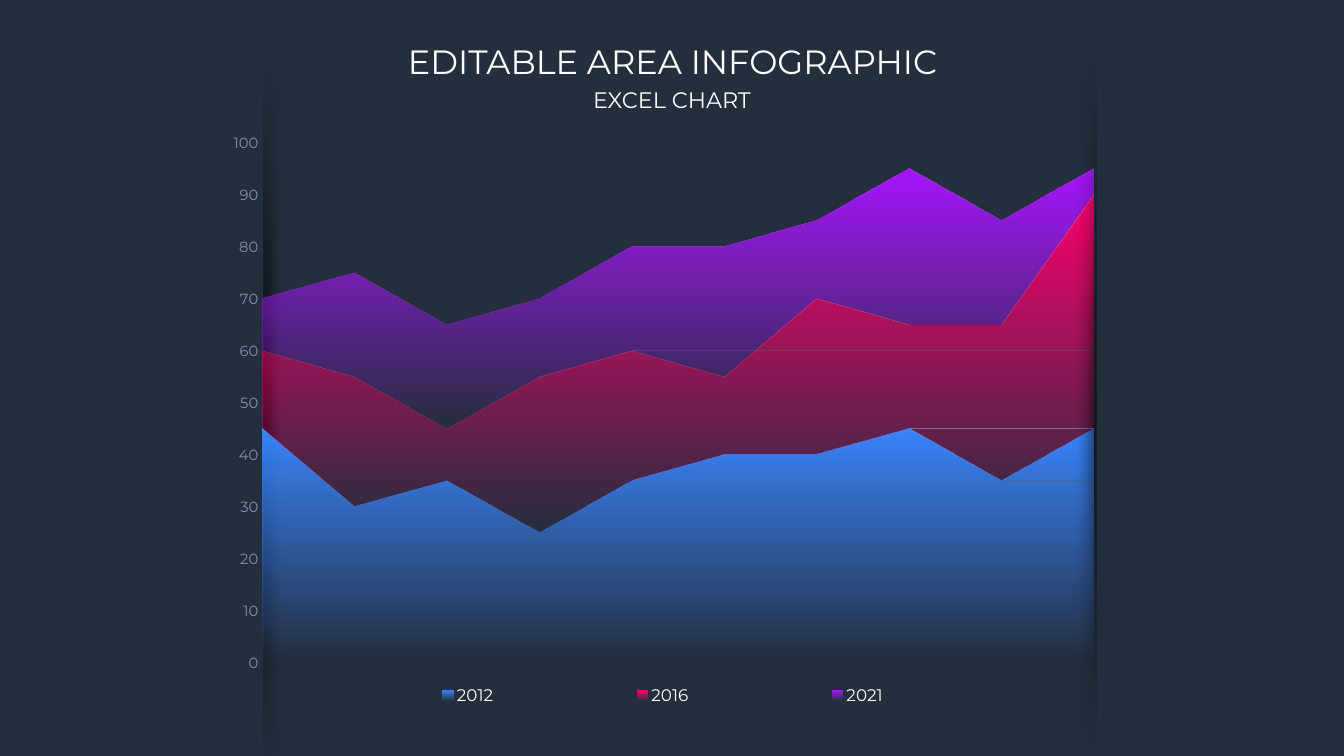
from lxml import etree
from pptx import Presentation
from pptx.chart.data import CategoryChartData
from pptx.dml.color import RGBColor
from pptx.enum.chart import XL_CHART_TYPE, XL_LEGEND_POSITION, XL_TICK_MARK
from pptx.enum.shapes import MSO_SHAPE
from pptx.enum.text import MSO_ANCHOR, MSO_AUTO_SIZE, PP_ALIGN
from pptx.oxml import parse_xml
from pptx.oxml.ns import nsdecls, qn
from pptx.util import Inches, Pt

FONT = "Montserrat"
NAVY = RGBColor(0x24, 0x2E, 0x3D)
WHITE = RGBColor(0xFF, 0xFF, 0xFF)
BLACK = RGBColor(0x00, 0x00, 0x00)
SLATE = RGBColor(0x7D, 0x92, 0xB2)
BLUE = RGBColor(0x3A, 0x86, 0xFF)
PINK = RGBColor(0xFF, 0x00, 0x6E)
PURPLE = RGBColor(0xA9, 0x16, 0xFF)

SERIES = [
    ("2012", BLUE, (45, 30, 35, 25, 35, 40, 40, 45, 35, 45)),
    ("2016", PINK, (15, 25, 10, 30, 25, 15, 30, 20, 30, 45)),
    ("2021", PURPLE, (10, 20, 20, 15, 20, 25, 15, 30, 20, 5)),
]


def apply_gradient(element, fill, color, stops):
    """Fill an element with a vertical gradient from (position, opacity) percentages."""
    fill.solid()
    properties = element.find(qn("c:spPr"))
    if properties is None:
        properties = element.find(qn("p:spPr"))
    stop_xml = "".join(
        f'<a:gs pos="{position * 1000}"><a:srgbClr val="{color}">'
        f'<a:alpha val="{opacity * 1000}"/></a:srgbClr></a:gs>'
        for position, opacity in stops
    )
    gradient = parse_xml(
        f'<a:gradFill {nsdecls("a")} rotWithShape="1"><a:gsLst>{stop_xml}</a:gsLst>'
        '<a:lin ang="5400000" scaled="0"/></a:gradFill>'
    )
    properties.replace(properties.find(qn("a:solidFill")), gradient)


def add_shadow(shape, opacity, blur, distance, angle):
    """Give a shape a soft outer shadow."""
    shape.shadow.inherit = False
    effects = shape.element.spPr.find(qn("a:effectLst"))
    shadow = etree.SubElement(
        effects, qn("a:outerShdw"), blurRad=str(Pt(blur)), dist=str(Pt(distance)),
        dir=str(angle * 60000), algn="ctr", rotWithShape="0",
    )
    color = etree.SubElement(shadow, qn("a:srgbClr"), val=str(BLACK))
    etree.SubElement(color, qn("a:alpha"), val=str(opacity * 1000))


def add_edge_shade(slide, outline, cover_box, shadow):
    """Add a shadow-casting strip hidden by a cover in the background colour."""
    group = slide.shapes.add_group_shape()
    points = [(Inches(x), Inches(y)) for x, y in outline]
    builder = group.shapes.build_freeform(*points[0])
    builder.add_line_segments(points[1:], close=True)
    strip = builder.convert_to_shape()
    apply_gradient(strip.element, strip.fill, WHITE, [(0, 0), (50, 100), (100, 0)])
    strip.line.fill.background()
    add_shadow(strip, *shadow)
    cover = group.shapes.add_shape(MSO_SHAPE.RECTANGLE, *map(Inches, cover_box))
    cover.shadow.inherit = False
    cover.fill.solid()
    cover.fill.fore_color.rgb = NAVY
    cover.line.fill.background()


def format_font(font, size, color):
    """Set the typeface, size and colour of a font."""
    font.name = FONT
    font.size = Pt(size)
    font.bold = False
    font.color.rgb = color


def set_heading(shape, box, text, size):
    """Place a centred one-line heading."""
    shape.left, shape.top, shape.width, shape.height = map(Inches, box)
    frame = shape.text_frame
    frame.text = text
    frame.word_wrap = False
    frame.auto_size = MSO_AUTO_SIZE.SHAPE_TO_FIT_TEXT
    frame.vertical_anchor = MSO_ANCHOR.TOP
    paragraph = frame.paragraphs[0]
    paragraph.alignment = PP_ALIGN.CENTER
    format_font(paragraph.runs[0].font, size, WHITE)


def set_layout(parent, successor, box, target=""):
    """Fix the place of a chart part as fractions of the chart."""
    for previous in parent.findall(qn("c:layout")):
        parent.remove(previous)
    sizes = "".join(f'<c:{key} val="{value}"/>' for key, value in zip("xywh", box))
    layout = parse_xml(
        f'<c:layout {nsdecls("c")}><c:manualLayout>{target}'
        f'<c:xMode val="edge"/><c:yMode val="edge"/>{sizes}'
        "</c:manualLayout></c:layout>"
    )
    parent.find(qn(successor)).addprevious(layout)


def add_area_chart(slide, box):
    """Add the stacked area chart with its legend."""
    data = CategoryChartData()
    data.categories = [str(number) for number in range(1, 11)]
    for name, _, values in SERIES:
        data.add_series(name, values)
    chart = slide.shapes.add_chart(
        XL_CHART_TYPE.AREA_STACKED, *map(Inches, box), data
    ).chart
    format_font(chart.font, 10, WHITE)
    chart.has_title = False
    plot_area = chart.element.find(".//" + qn("c:plotArea"))
    series_elements = plot_area.findall(".//" + qn("c:ser"))
    for series, element, (_, color, _) in zip(chart.plots[0].series, series_elements, SERIES):
        apply_gradient(element, series.format.fill, color, [(0, 100), (100, 0)])
        series.format.line.fill.background()
    chart.category_axis.visible = False
    axis = chart.value_axis
    axis.minimum_scale, axis.maximum_scale, axis.major_unit = 0, 100, 10
    axis.has_major_gridlines = False
    axis.major_tick_mark = axis.minor_tick_mark = XL_TICK_MARK.NONE
    axis.format.line.fill.background()
    format_font(axis.tick_labels.font, 10.5, SLATE)
    chart.has_legend = True
    legend = chart.legend
    legend.position = XL_LEGEND_POSITION.BOTTOM
    legend.include_in_layout = False
    format_font(legend.font, 12, WHITE)
    for crossing in plot_area.iter(qn("c:crossBetween")):
        crossing.set("val", "midCat")
    set_layout(plot_area, "c:areaChart", (0.053, 0.035, 0.927, 0.87),
               '<c:layoutTarget val="inner"/>')
    set_layout(chart.element.find(".//" + qn("c:legend")), "c:overlay",
               (0.1, 0.93, 0.8, 0.06))


def build_area_slide(presentation):
    """Build the area infographic slide."""
    slide = presentation.slides.add_slide(presentation.slide_layouts[5])
    slide.background.fill.solid()
    slide.background.fill.fore_color.rgb = NAVY
    add_edge_shade(slide, [(2.59, 0.61), (2.59, 7.7), (2.28, 7.7), (2.28, 0.61)],
                   (2.27, 0.43, 0.34, 7.36), (75, 8, 8, 0))
    add_area_chart(slide, (2.13, 1.21, 8.89, 5.93))
    add_edge_shade(slide, [(10.9, 7.6), (10.91, 0.54), (11.35, 0.54), (11.35, 7.6)],
                   (10.88, 0.46, 0.5, 7.32), (69, 12, 8, 210))
    set_heading(slide.shapes.title, (3.86, 0.36, 5.62, 0.5),
                "EDITABLE AREA INFOGRAPHIC", 24)
    subtitle_box = (5.75, 0.81, 1.83, 0.37)
    subtitle = slide.shapes.add_textbox(*map(Inches, subtitle_box))
    set_heading(subtitle, subtitle_box, "EXCEL CHART", 16)


def main():
    """Create and save the presentation."""
    presentation = Presentation()
    presentation.slide_width = Inches(13.33)
    presentation.slide_height = Inches(7.5)
    build_area_slide(presentation)
    presentation.save("out.pptx")


if __name__ == "__main__":
    main()
